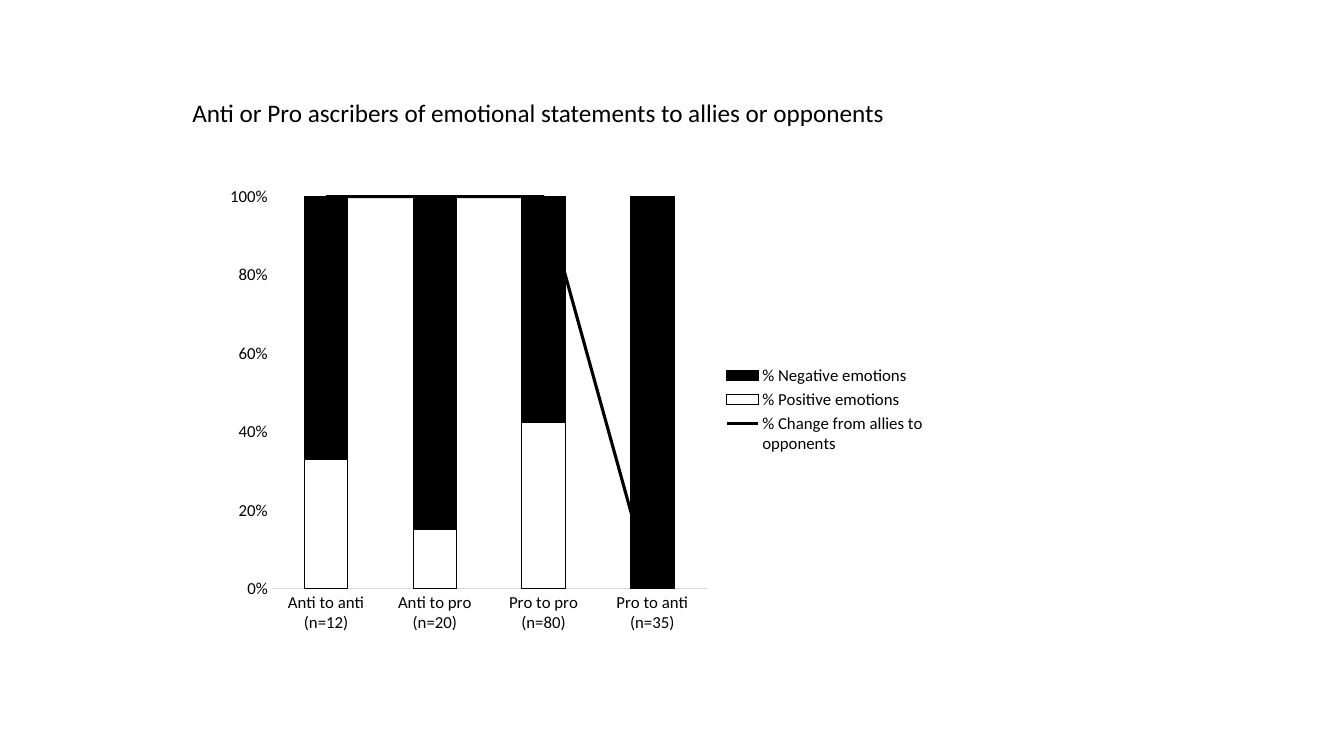
from dataclasses import dataclass

from pptx import Presentation, util as u
from pptx.chart.data import CategoryChartData
from pptx.dml.color import RGBColor
from pptx.enum import chart as ch, text
from pptx.oxml import parse_xml
from pptx.oxml.ns import nsdecls

PX = 9144  # EMU per px, 100 px to the inch


@dataclass(frozen=True)
class Theme:
    font: str = "Calibri"
    ink: str = "000000"
    paper: str = "FFFFFF"
    axis: str = "D9D9D9"
    title_size: int = 18
    label_size: int = 12
    thin: float = 0.75
    thick: float = 2.25


@dataclass(frozen=True)
class Box:
    left: int
    top: int
    width: int
    height: int

    def emu(self) -> list[u.Emu]:
        return [u.Emu(v * PX) for v in (self.left, self.top, self.width, self.height)]


@dataclass(frozen=True)
class EmotionSeries:
    name: str
    values: tuple[float, ...]
    fill: str


THEME = Theme()
TITLE = "Anti or Pro ascribers of emotional statements to allies or opponents"
TITLE_BOX = Box(181, 92, 727, 40)
CHART_BOX = Box(214, 176, 715, 461)
GROUPS = ("Anti to anti (n=12)", "Anti to pro (n=20)",
          "Pro to pro (n=80)", "Pro to anti (n=35)")
SERIES = (
    EmotionSeries("% Positive emotions", (33, 15, 42, 0), THEME.paper),
    EmotionSeries("% Negative emotions", (67, 85, 57, 100), THEME.ink),
    EmotionSeries("% Change from allies to opponents", (0.33, 0.15, 0.42, 0), THEME.ink),
)
CHANGE_PLOT = f"""
<c:lineChart {nsdecls("c")}>
  <c:grouping val="percentStacked"/><c:varyColors val="0"/>
  <c:marker val="1"/><c:axId val="5001"/><c:axId val="5002"/>
</c:lineChart>"""


def secondary_axis(kind: str, own: int, other: int, side: str, top: str, rest: str) -> str:
    return f"""
<c:{kind} {nsdecls("c")}>
  <c:axId val="{own}"/>
  <c:scaling><c:orientation val="minMax"/>{top}</c:scaling>
  <c:delete val="1"/><c:axPos val="{side}"/>
  <c:majorTickMark val="none"/><c:minorTickMark val="none"/><c:tickLblPos val="nextTo"/>
  <c:crossAx val="{other}"/>{rest}
</c:{kind}>"""


def set_all(obj: object, values: dict[str, object]) -> None:
    for name, value in values.items():
        setattr(obj, name, value)


def style_font(font, size: int) -> None:
    set_all(font, {"name": THEME.font, "size": u.Pt(size)})
    font.color.rgb = RGBColor.from_string(THEME.ink)


def style_line(line, color: str, width: float) -> None:
    line.color.rgb = RGBColor.from_string(color)
    line.width = u.Pt(width)


def add_title(s) -> None:
    tf = s.shapes.add_textbox(*TITLE_BOX.emu()).text_frame
    set_all(tf, {"word_wrap": False, "auto_size": text.MSO_AUTO_SIZE.SHAPE_TO_FIT_TEXT})
    r = tf.paragraphs[0].add_run()
    r.text = TITLE
    style_font(r.font, THEME.title_size)


def move_change_to_line(chart) -> None:
    """Put the last series on a line plot with its own hidden axes."""
    area = chart.element.xpath(".//c:plotArea")[0]
    bars = area.xpath("c:barChart")[0]
    ser = bars.xpath("c:ser")[-1]
    for flag in ser.xpath("c:invertIfNegative"):
        ser.remove(flag)
    line = parse_xml(CHANGE_PLOT)
    line.insert(2, ser)
    bars.addnext(line)
    value_axis = secondary_axis("valAx", 5002, 5001, "r", '<c:max val="1"/>',
                                '<c:crosses val="max"/><c:crossBetween val="between"/>')
    category_axis = secondary_axis("catAx", 5001, 5002, "b", "", '<c:crosses val="autoZero"/>')
    last = area.xpath("c:valAx")[-1]
    for axis in (category_axis, value_axis):
        last.addnext(parse_xml(axis))


def style_axes(chart) -> None:
    for axis in (chart.category_axis, chart.value_axis):
        set_all(axis, {"has_major_gridlines": False,
                       "major_tick_mark": ch.XL_TICK_MARK.NONE,
                       "minor_tick_mark": ch.XL_TICK_MARK.NONE})
        style_font(axis.tick_labels.font, THEME.label_size)
    style_line(chart.category_axis.format.line, THEME.axis, THEME.thin)
    chart.value_axis.format.line.fill.background()
    chart.value_axis.major_unit = 0.2
    set_all(chart.value_axis.tick_labels,
            {"number_format": "0%", "number_format_is_linked": False})


def add_emotion_chart(s) -> None:
    data = CategoryChartData()
    data.categories = GROUPS
    for series in SERIES:
        data.add_series(series.name, series.values)
    chart = s.shapes.add_chart(ch.XL_CHART_TYPE.COLUMN_STACKED_100,
                               *CHART_BOX.emu(), data).chart
    set_all(chart, {"has_title": False, "has_legend": True})
    style_font(chart.font, THEME.label_size)
    style_axes(chart)
    move_change_to_line(chart)

    # Stacked columns
    bars, line = chart.plots
    set_all(bars, {"gap_width": 150, "overlap": 100, "vary_by_categories": False})
    for column, series in zip(bars.series, SERIES):
        column.format.fill.solid()
        column.format.fill.fore_color.rgb = RGBColor.from_string(series.fill)
        style_line(column.format.line, THEME.ink, THEME.thin)

    # Change line
    change = line.series[0]
    change.smooth = False
    change.marker.style = ch.XL_MARKER_STYLE.NONE
    style_line(change.format.line, SERIES[-1].fill, THEME.thick)

    # Legend
    set_all(chart.legend, {"position": ch.XL_LEGEND_POSITION.RIGHT,
                           "include_in_layout": False})
    style_font(chart.legend.font, THEME.label_size)


def main() -> None:
    prs = Presentation()
    set_all(prs, {"slide_width": u.Emu(1333 * PX), "slide_height": u.Emu(750 * PX)})
    s = prs.slides.add_slide(prs.slide_layouts[6])
    add_emotion_chart(s)
    add_title(s)
    prs.save("out.pptx")


if __name__ == "__main__":
    main()
